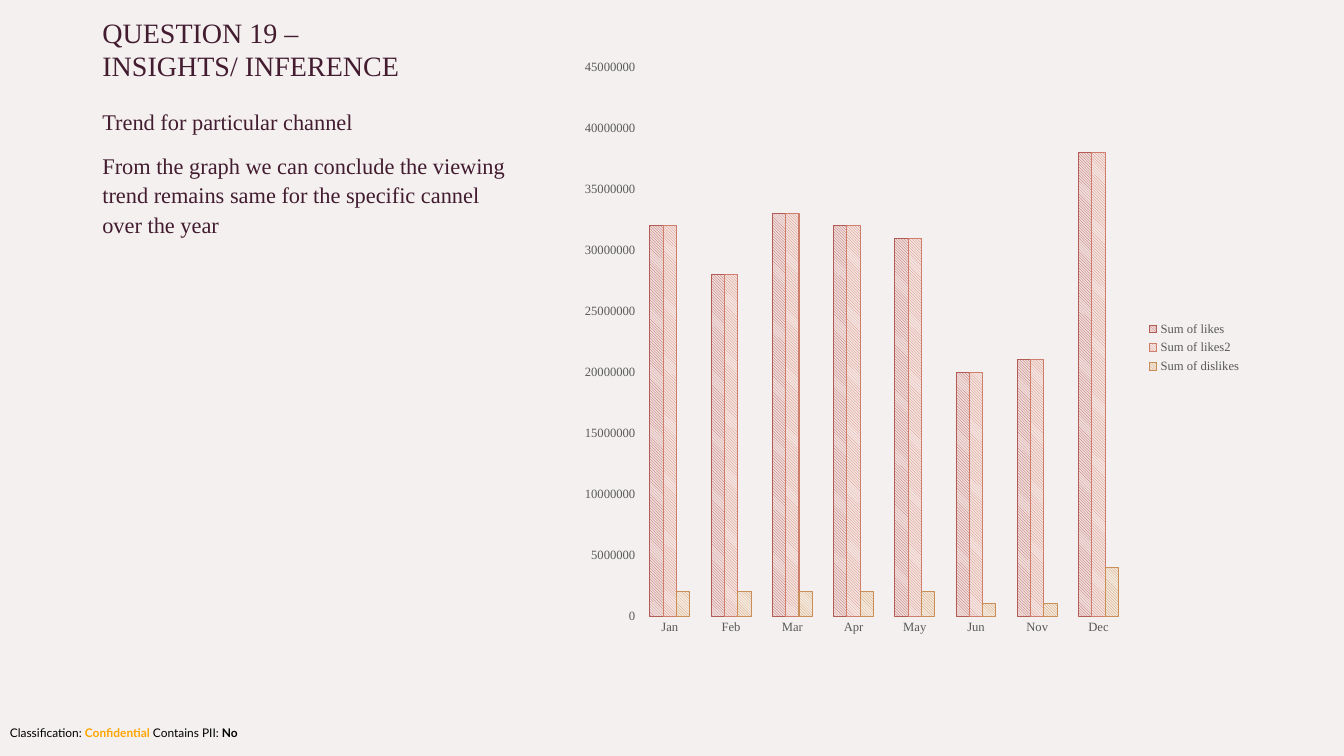
from lxml import etree
from pptx import Presentation
from pptx.chart.data import CategoryChartData
from pptx.dml.color import RGBColor
from pptx.enum.chart import XL_CHART_TYPE as ChartType, XL_LEGEND_POSITION as LegendPosition, XL_TICK_MARK as TickMark
from pptx.enum.dml import MSO_PATTERN as Pattern
from pptx.enum.text import MSO_ANCHOR as Anchor
from pptx.util import Inches, Pt

COLORS = {
    "background": "F3F0EF", "text": "431C30", "axis": "595959",
    "black": "000000", "orange": "FFA500",
    "likes": "B35B55", "likes_tint": "F0DEDD",
    "likes2": "CF7E6C", "likes2_tint": "F5E5E2",
    "dislikes": "CA8F58", "dislikes_tint": "F4E9DE",
}
SERIF, SANS = "Times New Roman", "Lato"
COLUMNS, ROWS = 160, 90

MONTHS = ["Jan", "Feb", "Mar", "Apr", "May", "Jun", "Nov", "Dec"]
MILLION = 1_000_000
LIKES = [32, 28, 33, 32, 31, 20, 21, 38]
DISLIKES = [2, 2, 2, 2, 2, 1, 1, 4]
SERIES = [
    ("Sum of likes", LIKES, "likes"),
    ("Sum of likes2", LIKES, "likes2"),
    ("Sum of dislikes", DISLIKES, "dislikes"),
]


def color(name):
    return RGBColor.from_string(COLORS[name])


class SlideBuilder:
    """Holds the style and the current slide; places elements on the grid."""

    def __init__(self, presentation):
        self.width, self.height = presentation.slide_width, presentation.slide_height
        self.slide = presentation.slides.add_slide(presentation.slide_layouts[6])
        fill = self.slide.background.fill
        fill.solid()
        fill.fore_color.rgb = color("background")

    def box(self, column, row, columns, rows):
        return (int(self.width * column / COLUMNS), int(self.height * row / ROWS),
                int(self.width * columns / COLUMNS), int(self.height * rows / ROWS))

    def style(self, font, size, name, family=SERIF, bold=False):
        font.size, font.name, font.bold = Pt(size), family, bold
        font.color.rgb = color(name)

    def text(self, place, paragraphs, size, family=SERIF, anchor=Anchor.TOP,
             line_spacing=1.0, space_before=0):
        """Each paragraph is a list of (text, color, bold); None is a line break."""
        frame = self.slide.shapes.add_textbox(*self.box(*place)).text_frame
        frame.word_wrap = True
        frame.vertical_anchor = anchor
        for index, runs in enumerate(paragraphs):
            paragraph = frame.add_paragraph() if index else frame.paragraphs[0]
            paragraph.line_spacing = line_spacing
            paragraph.space_before = Pt(space_before)
            for item in runs:
                if item is None:
                    paragraph.add_line_break()
                    continue
                words, name, bold = item
                run = paragraph.add_run()
                run.text = words
                self.style(run.font, size, name, family, bold)

    def column_chart(self, place, categories, series, plot_area):
        data = CategoryChartData()
        data.categories = categories
        for name, values, _ in series:
            data.add_series(name, [value * MILLION for value in values])
        chart = self.slide.shapes.add_chart(
            ChartType.COLUMN_CLUSTERED, *self.box(*place), data).chart
        chart.has_title = False
        self.style(chart.font, 10, "black")

        # Bars
        plot = chart.plots[0]
        plot.gap_width, plot.overlap = 160, 0
        plot.vary_by_categories = False
        for bars, (_, _, name) in zip(plot.series, series):
            bars.invert_if_negative = False
            fill, line = bars.format.fill, bars.format.line
            fill.patterned()
            fill.pattern = Pattern.LIGHT_DOWNWARD_DIAGONAL
            fill.fore_color.rgb = color(name)
            fill.back_color.rgb = color(name + "_tint")
            line.color.rgb = color(name)
            line.width = Pt(0.75)

        # Axes
        for axis in (chart.category_axis, chart.value_axis):
            axis.has_major_gridlines = False
            axis.major_tick_mark = axis.minor_tick_mark = TickMark.NONE
            axis.format.line.fill.background()
            self.style(axis.tick_labels.font, 9, "axis")
        value_axis = chart.value_axis
        value_axis.minimum_scale, value_axis.maximum_scale = 0, 45 * MILLION
        value_axis.major_unit = 5 * MILLION

        # Legend
        chart.has_legend = True
        chart.legend.position = LegendPosition.RIGHT
        chart.legend.include_in_layout = False
        self.style(chart.legend.font, 9, "axis")

        self.place_plot(chart, plot_area)

    def place_plot(self, chart, shares):
        """Fix the inner plot area as shares (x, y, w, h) of the chart."""
        area = chart.plots[0]._element.getparent()
        namespace = etree.QName(area).namespace
        for old in area.findall(f"{{{namespace}}}layout"):
            area.remove(old)
        layout = etree.Element(f"{{{namespace}}}layout")
        manual = etree.SubElement(layout, f"{{{namespace}}}manualLayout")
        settings = [("layoutTarget", "inner"), ("xMode", "edge"), ("yMode", "edge")]
        settings += zip("xywh", shares)
        for tag, value in settings:
            etree.SubElement(manual, f"{{{namespace}}}{tag}").set("val", str(value))
        area.insert(0, layout)


def main():
    presentation = Presentation()
    presentation.slide_width, presentation.slide_height = Inches(13.33), Inches(7.5)
    builder = SlideBuilder(presentation)

    # Classification footer
    builder.text((0, 85.8, 160, 2.9), [[
        ("Classification: ", "black", False), ("Confidential", "orange", True),
        (" Contains PII: ", "black", False), ("No", "black", True),
    ]], 8.5, family=SANS)

    # Title
    builder.text((11, 1.2, 51.6, 9.2), [[
        ("QUESTION 19 – ", "text", False), None, ("INSIGHTS/ INFERENCE", "text", False),
    ]], 20, anchor=Anchor.BOTTOM)

    # Findings
    builder.text((11, 12, 51.6, 65), [
        [("Trend for particular channel", "text", False)],
        [("From the graph we can conclude the viewing trend remains same "
          "for the specific cannel over the year", "text", False)],
    ], 16, line_spacing=1.1, space_before=10)

    # Likes and dislikes by month
    builder.column_chart((68, 5.9, 81, 71), MONTHS, SERIES, (0.1, 0.03, 0.72, 0.92))

    presentation.save("out.pptx")


if __name__ == "__main__":
    main()
